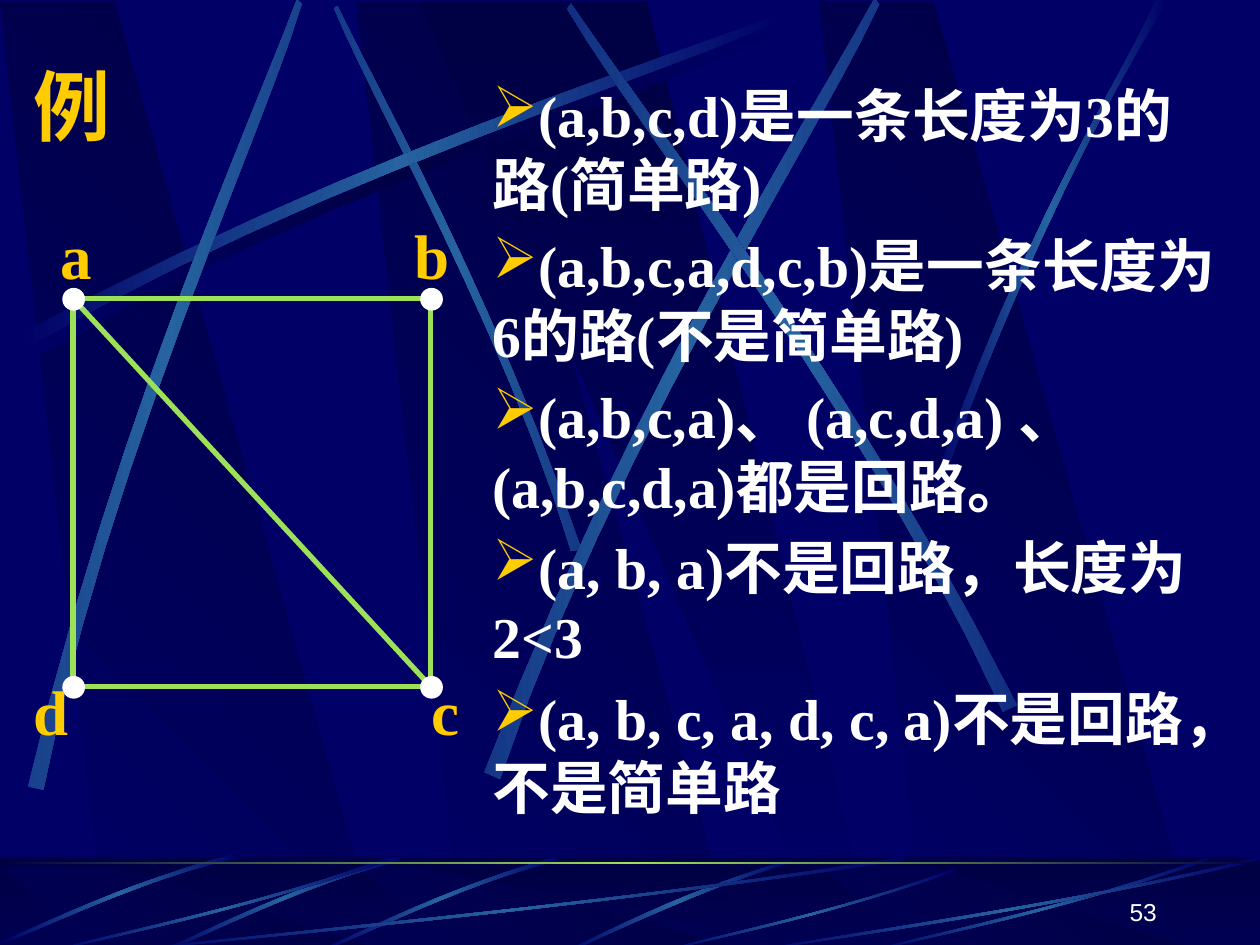
from math import cos, radians, sin

from lxml import etree
from pptx import Presentation
from pptx.dml.color import RGBColor
from pptx.enum.shapes import MSO_CONNECTOR, MSO_SHAPE
from pptx.enum.text import MSO_ANCHOR, PP_ALIGN
from pptx.oxml.ns import qn
from pptx.util import Inches, Pt

RECTANGLE, OVAL = MSO_SHAPE.RECTANGLE, MSO_SHAPE.OVAL
STRAIGHT = MSO_CONNECTOR.STRAIGHT
TOP, MIDDLE, BOTTOM = MSO_ANCHOR.TOP, MSO_ANCHOR.MIDDLE, MSO_ANCHOR.BOTTOM
LEFT, RIGHT = PP_ALIGN.LEFT, PP_ALIGN.RIGHT

NAVY, DARK, BLUE = "000066", "000044", "2663A0"
GREEN, YELLOW, WHITE = "9CE157", "FFCC00", "FFFFFF"
SERIF, CHINESE, SANS = "Times New Roman", "Noto Sans CJK SC", "Arial"
GLOW = (NAVY, BLUE, NAVY)
SHADE = (NAVY, DARK, NAVY)

TITLE = "例"
STATEMENTS = [
    "(a,b,c,d)是一条长度为3的路(简单路)",
    "(a,b,c,a,d,c,b)是一条长度为6的路(不是简单路)",
    "(a,b,c,a)、 (a,c,d,a) 、 (a,b,c,d,a)都是回路。",
    "(a, b, a)不是回路，长度为2<3",
    "(a, b, c, a, d, c, a)不是回路，不是简单路",
]
VERTICES = [(0.58, 2.37), (3.42, 2.37), (3.42, 5.45), (0.58, 5.45)]
VERTEX_LABELS = [
    ("a", (0.38, 1.67, 0.45, 0.7)),
    ("b", (3.19, 1.67, 0.48, 0.7)),
    ("c", (3.33, 5.29, 0.42, 0.7)),
    ("d", (0.17, 5.29, 0.48, 0.7)),
]

PANEL = [(0.28, 1), (1, 1), (0.3, 0), (0, 0)]
WEDGE = [(0, 0), (0.9, 1), (1, 1), (0.5, 0)]
PANEL_LEFTS = [2.83, 0, 6.5]
BANDS = [(0.01, 7.52), (6.88, 0.66)]

ARC = [(0, 0.96), (0.43, 0.43), (0.83, 0.15), (1, 0),
       (1, 0.02), (0.84, 0.19), (0.38, 0.5), (0.01, 1)]
RISE = [(0, 0.99), (0.4, 0.44), (0.79, 0.17), (0.95, 0),
        (1, 0), (0.52, 0.37), (0.16, 0.81), (0.03, 1)]
BEND = [(1, 0), (0.49, 0.37), (0.16, 0.83), (0, 1),
        (0.03, 1), (0.23, 0.77), (0.68, 0.25), (1, 0.04)]
SWEEP = [(1, 0.04), (0.57, 0.57), (0.17, 0.85), (0, 1),
         (0, 0.99), (0.17, 0.81), (0.62, 0.51), (1, 0)]
UPPER_STREAKS = [
    (ARC, (0.2, 0.18, 6.08, 2.67), 0, False, SHADE),
    (ARC, (1.41, 1.35, 4.42, 1.75), 45, True, GLOW),
    (ARC, (0.14, 0.1, 6.08, 2.67), 0, False, GLOW),
    (ARC, (-1.71, 1.82, 6.08, 2.67), 311.7, False, GLOW),
    (ARC, (2.31, 1.6, 6.24, 3.01), 321.6, False, GLOW),
    (ARC, (3.23, 1.52, 6.08, 2.67), 34.7, True, GLOW),
    (RISE, (7.38, 0, 1.89, 3.97), 0, False, GLOW),
]
LOWER_STREAKS = [
    (BEND, (4.48, 6.82, 1.8, 0.73), 0, False, GLOW),
    (ARC, (2.58, 6.76, 1.84, 0.83), 315, True, GLOW),
    (ARC, (1.33, 6.76, 1.84, 0.83), 315, True, GLOW),
    (ARC, (0.05, 6.71, 1.8, 0.85), 315, True, GLOW),
    (SWEEP, (1, 6.8, 6.17, 0.75), 0, False, GLOW),
    (SWEEP, (0.42, 6.8, 2.67, 0.75), 0, False, GLOW),
    (SWEEP, (5.27, 6.89, 2.31, 0.66), 0, False, GLOW),
    (SWEEP, (6.92, 6.8, 2.67, 0.75), 0, False, GLOW),
    (SWEEP, (6, 6.8, 4, 0.75), 0, False, GLOW),
]
FOOTER = (0, 6.8, 10, 0.75)


def color(value):
    return RGBColor.from_string(value)


def fill_gradient(shape, colors, angle=0):
    shape.shadow.inherit = False
    shape.line.fill.background()
    shape.fill.gradient()
    gradient = shape.fill._xPr.find(qn("a:gradFill"))
    gradient.set("rotWithShape", "0")
    stops = gradient.find(qn("a:gsLst"))
    for stop in list(stops):
        stops.remove(stop)
    for index, value in enumerate(colors):
        position = round(100000 * index / (len(colors) - 1))
        stop = etree.SubElement(stops, qn("a:gs"), pos=str(position))
        etree.SubElement(stop, qn("a:srgbClr"), val=value)
    gradient.find(qn("a:lin")).set("ang", str(angle * 60000))


def add_outline(slide, points, box, colors, angle=0):
    left, top, width, height = box
    start, *rest = [(Inches(left + x * width), Inches(top + y * height)) for x, y in points]
    builder = slide.shapes.build_freeform(*start, scale=1.0)
    builder.add_line_segments(rest, close=True)
    shape = builder.convert_to_shape()
    fill_gradient(shape, colors, angle)
    return shape


def sample_curve(controls, steps=12):
    points = []
    for step in range(steps + 1):
        t = step / steps
        weights = ((1 - t) ** 3, 3 * t * (1 - t) ** 2, 3 * t * t * (1 - t), t ** 3)
        points.append(tuple(sum(w * p[axis] for w, p in zip(weights, controls)) for axis in (0, 1)))
    return points


def add_streak(slide, profile, box, rotation, flipped, colors):
    points = sample_curve(profile[:4]) + sample_curve(profile[4:])
    if flipped:
        points = [(1 - x, y) for x, y in points]
    add_outline(slide, points, box, colors).rotation = rotation


def add_rectangle(slide, box):
    shape = slide.shapes.add_shape(RECTANGLE, *map(Inches, box))
    shape.shadow.inherit = False
    return shape


def add_text(slide, box, lines, font, anchor=TOP, align=LEFT, wrap=True, bullet=None):
    frame = slide.shapes.add_textbox(*map(Inches, box)).text_frame
    frame.word_wrap = wrap
    frame.vertical_anchor = anchor
    for index, line in enumerate(lines):
        paragraph = frame.paragraphs[0] if index == 0 else frame.add_paragraph()
        paragraph.alignment = align
        if index:
            paragraph.space_before = Pt(7)
        if bullet:
            properties = paragraph._p.get_or_add_pPr()
            bullet_color = etree.SubElement(properties, qn("a:buClr"))
            etree.SubElement(bullet_color, qn("a:srgbClr"), val=YELLOW)
            etree.SubElement(properties, qn("a:buChar"), char=bullet)
        run = paragraph.add_run()
        run.text = line
        run.font.color.rgb = color(font["color"])
        for name in ("size", "name", "bold"):
            setattr(run.font, name, font[name])
        etree.SubElement(run._r.get_or_add_rPr(), qn("a:ea"), typeface=CHINESE)


def add_background(slide):
    slide.background.fill.solid()
    slide.background.fill.fore_color.rgb = color(NAVY)
    for (top, height), streaks in zip(BANDS, (UPPER_STREAKS, LOWER_STREAKS)):
        if streaks is LOWER_STREAKS:
            fill_gradient(add_rectangle(slide, FOOTER), (DARK, NAVY), 90)
        for left in PANEL_LEFTS:
            add_outline(slide, PANEL, (left, top, 3.02, height), (NAVY, DARK), 315)
        add_outline(slide, WEDGE, (3.33, top, 3.61, height), (DARK, NAVY), 90)
        if streaks is LOWER_STREAKS:
            veil = add_rectangle(slide, FOOTER)
            veil.line.fill.background()
            veil.fill.solid()
            veil.fill.fore_color.rgb = color(DARK)
            tint = veil.fill._xPr.find(qn("a:solidFill"))[0]
            etree.SubElement(tint, qn("a:alpha"), val="50000")
        for streak in streaks:
            add_streak(slide, *streak)
    fill_gradient(add_rectangle(slide, (0, 6.84, 10, 0.02)), (DARK, GREEN, DARK))


def add_graph(slide):
    (left, top), (right, bottom) = VERTICES[0], VERTICES[2]
    square = add_rectangle(slide, (left, top, right - left, bottom - top))
    square.fill.background()
    diagonal = slide.shapes.add_connector(STRAIGHT, *map(Inches, (left, top, right, bottom)))
    etree.SubElement(diagonal._element.spPr, qn("a:effectLst"))
    for edge in (square, diagonal):
        edge.line.color.rgb = color(GREEN)
        edge.line.width = Pt(3)
    for x, y in VERTICES:
        dot = slide.shapes.add_shape(OVAL, *map(Inches, (x - 0.08, y - 0.08, 0.17, 0.17)))
        dot.shadow.inherit = False
        dot.fill.solid()
        dot.fill.fore_color.rgb = dot.line.color.rgb = color(WHITE)
        dot.line.width = Pt(0.75)
    font = {"size": Pt(36), "name": SERIF, "bold": True, "color": YELLOW}
    for label, box in VERTEX_LABELS:
        add_text(slide, box, [label], font, wrap=False)


def main():
    """Build the slide on paths and circuits in a graph."""
    presentation = Presentation()
    presentation.slide_width, presentation.slide_height = Inches(10), Inches(7.5)
    slide = presentation.slides.add_slide(presentation.slide_layouts[6])
    add_background(slide)
    title_font = {"size": Pt(44), "name": CHINESE, "bold": True, "color": YELLOW}
    body_font = {"size": Pt(33), "name": SERIF, "bold": True, "color": WHITE}
    number_font = {"size": Pt(14), "name": SANS, "bold": False, "color": WHITE}
    add_text(slide, (0.17, 0.42, 8.5, 0.83), [TITLE], title_font, anchor=MIDDLE)
    add_text(slide, (3.81, 0.58, 6.02, 6.42), STATEMENTS, body_font, bullet="➢")
    add_graph(slide)
    add_text(slide, (7.2, 6.9, 2.08, 0.5), ["53"], number_font, anchor=BOTTOM, align=RIGHT)
    presentation.save("out.pptx")


if __name__ == "__main__":
    main()
